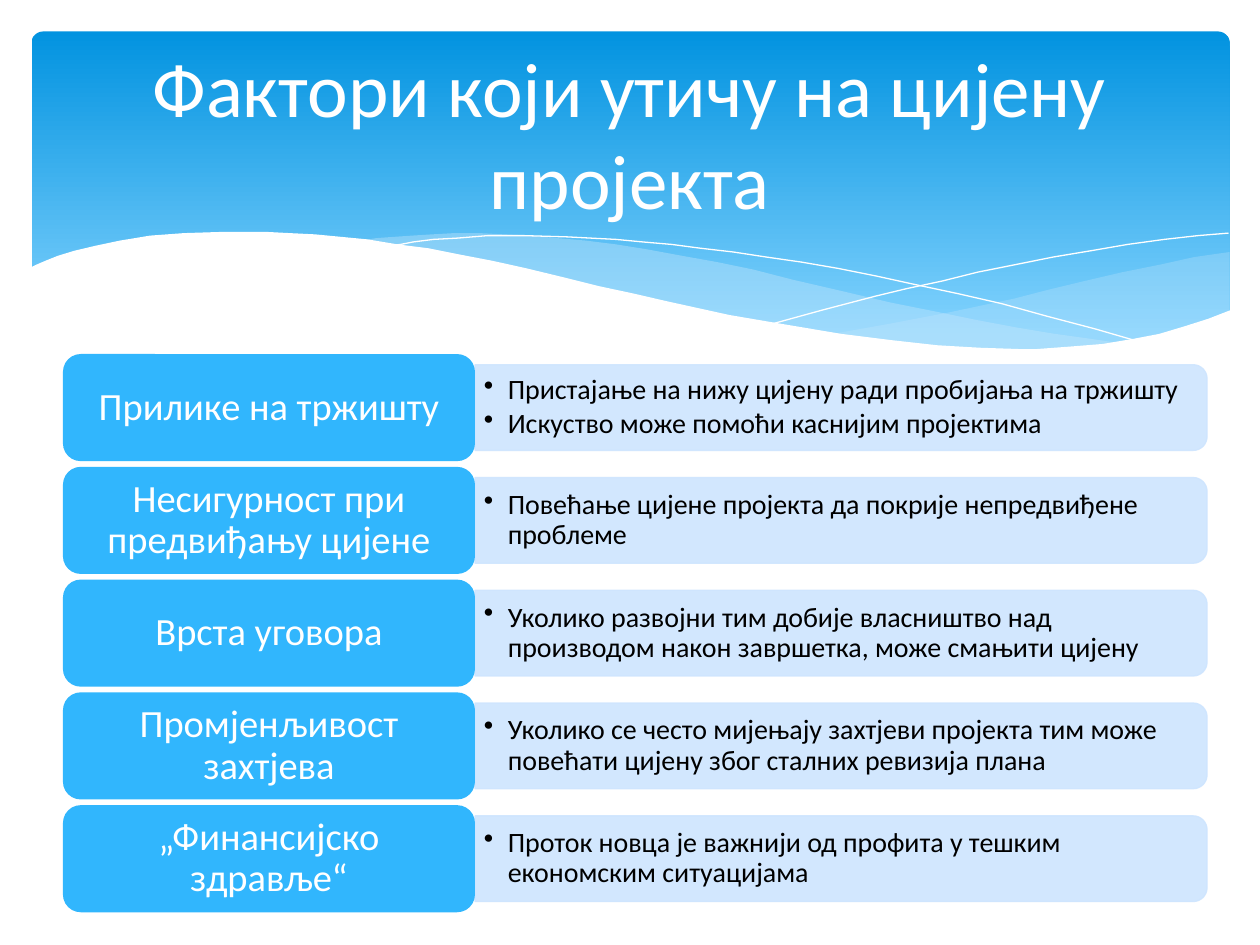
"""Build the slide on factors that influence the price of a project."""
from math import cos, pi, sin

from lxml.etree import SubElement
from pptx import Presentation
from pptx.dml.color import RGBColor
from pptx.enum.shapes import MSO_SHAPE as Shape
from pptx.enum.text import MSO_ANCHOR as Anchor, PP_ALIGN as Align
from pptx.oxml.ns import qn
from pptx.util import Inches, Pt

WHITE = RGBColor(0xFF, 0xFF, 0xFF)
BLACK = RGBColor(0, 0, 0)
BANNER_TOP = RGBColor(0x02, 0x93, 0xE0)
BANNER_BOTTOM = RGBColor(0x83, 0xD3, 0xFE)
WAVE = RGBColor(0xC6, 0xE7, 0xFC)
FACTOR_BLUE = RGBColor(0x31, 0xB6, 0xFD)
DETAIL_BLUE = RGBColor(0xCE, 0xE5, 0xFE)
FONT = "Calibri"

TITLE = "Фактори који утичу на цијену пројекта"
FACTORS = [
    ("Прилике на тржишту",
     ["Пристајање на нижу цијену ради пробијања на тржишту",
      "Искуство може помоћи каснијим пројектима"]),
    ("Несигурност при предвиђању цијене",
     ["Повећање цијене пројекта да покрије непредвиђене проблеме"]),
    ("Врста уговора",
     ["Уколико развојни тим добије власништво над производом након завршетка, "
      "може смањити цијену"]),
    ("Промјенљивост захтјева",
     ["Уколико се често мијењају захтјеви пројекта тим може повећати цијену "
      "због сталних ревизија плана"]),
    ("„Финансијско здравље“",
     ["Проток новца је важнији од профита у тешким економским ситуацијама"]),
]

RIGHT_WAVE = [
    (9.76, 2), (9.48, 2.04), (9.21, 2.1), (8.91, 2.16), (8.61, 2.23), (8.32, 2.3),
    (8.05, 2.37), (7.53, 2.48), (7.06, 2.57), (6.61, 2.65), (6.91, 2.69), (7.19, 2.72),
    (7.45, 2.75), (7.69, 2.77), (8.03, 2.78), (8.35, 2.77), (8.63, 2.75), (8.89, 2.72),
    (9.13, 2.67), (9.35, 2.62), (9.49, 2.57), (9.63, 2.52), (9.76, 2.47)]
MIDDLE_WAVE = [
    (8.93, 2.73), (8.66, 2.69), (8.37, 2.65), (8.07, 2.6), (7.75, 2.54), (7.41, 2.47),
    (7.06, 2.4), (6.68, 2.31), (6.29, 2.22), (5.98, 2.14), (5.69, 2.08), (5.41, 2.03),
    (5.14, 1.98), (4.89, 1.94), (4.65, 1.91), (4.42, 1.89), (4.2, 1.87), (3.99, 1.86),
    (3.8, 1.85), (3.61, 1.85), (3.44, 1.86), (3.28, 1.87), (3.13, 1.88), (2.99, 1.89),
    (2.86, 1.91), (3.23, 1.96), (3.62, 2.03), (4.04, 2.11), (4.49, 2.22), (4.91, 2.32),
    (5.3, 2.4), (5.66, 2.48), (6.01, 2.55), (6.34, 2.61), (6.65, 2.66), (6.95, 2.7),
    (7.22, 2.74), (7.48, 2.76), (7.73, 2.77), (7.96, 2.78), (8.28, 2.78), (8.57, 2.77),
    (8.76, 2.75)]
FALLING_LINE = [
    (3.09, 1.95), (3.18, 1.94), (3.28, 1.92), (3.44, 1.9), (3.63, 1.89), (3.87, 1.87),
    (4.16, 1.87), (4.5, 1.88), (4.69, 1.89), (4.89, 1.9), (5.1, 1.92), (5.33, 1.94),
    (5.56, 1.97), (5.82, 2), (6.08, 2.04), (6.36, 2.08), (6.65, 2.13), (6.95, 2.19),
    (7.27, 2.26), (7.6, 2.33), (7.95, 2.41), (8.31, 2.51), (8.69, 2.61), (9.07, 2.72)]
RISING_LINE = [
    (6.13, 2.57), (6.53, 2.46), (6.95, 2.35), (7.2, 2.29), (7.48, 2.23), (7.76, 2.16),
    (8.06, 2.1), (8.36, 2.04), (8.66, 1.99), (8.95, 1.94), (9.24, 1.9), (9.51, 1.87),
    (9.75, 1.85)]
WHITE_WAVE = [
    (9.77, 2.46), (9.59, 2.53), (9.4, 2.59), (9.2, 2.65), (8.99, 2.69), (8.75, 2.73),
    (8.5, 2.75), (8.23, 2.77), (8.09, 2.77), (7.78, 2.76), (7.44, 2.74), (7.08, 2.7),
    (6.68, 2.65), (6.26, 2.58), (5.79, 2.5), (5.29, 2.39), (5.03, 2.33), (4.75, 2.27),
    (4.47, 2.2), (4.18, 2.13), (3.91, 2.07), (3.65, 2.02), (3.4, 1.97), (3.16, 1.94),
    (2.92, 1.9), (2.71, 1.88), (2.5, 1.86), (2.3, 1.85), (2.11, 1.84), (1.77, 1.84),
    (1.46, 1.85), (1.19, 1.87), (0.95, 1.91), (0.76, 1.95), (0.59, 1.99), (0.46, 2.03),
    (0.36, 2.07), (0.29, 2.1), (0.23, 2.13), (0.23, 3.29), (9.77, 3.29)]

FACTOR_LEFT, FACTOR_WIDTH, FACTOR_HEIGHT = 0.5, 3.27, 0.85
DETAIL_LEFT, DETAIL_RIGHT, DETAIL_HEIGHT, DETAIL_RADIUS = 3.77, 9.58, 0.68, 0.11
FIRST_TOP, LAST_TOP = 2.81, 6.39


def set_alpha(fill, percent):
    for color in fill._xPr.iter(qn("a:srgbClr")):
        SubElement(color, qn("a:alpha"), val=str(percent * 1000))


def paint(shape, color, alpha=None):
    shape.shadow.inherit = False
    shape.fill.solid()
    shape.fill.fore_color.rgb = color
    if alpha:
        set_alpha(shape.fill, alpha)
    shape.line.fill.background()


def draw_outline(shapes, points, close=True):
    (start_x, start_y), *rest = [(Inches(x), Inches(y)) for x, y in points]
    builder = shapes.build_freeform(start_x, start_y)
    builder.add_line_segments(rest, close=close)
    return builder.convert_to_shape()


def write(shape, lines, size, color, margins, align, spacing=None, after=None):
    frame = shape.text_frame
    frame.word_wrap = True
    frame.vertical_anchor = Anchor.MIDDLE
    (frame.margin_left, frame.margin_top,
     frame.margin_right, frame.margin_bottom) = [Inches(m) for m in margins]
    frame.text = "\n".join(lines)
    for paragraph in frame.paragraphs:
        paragraph.alignment = align
        paragraph.line_spacing = spacing
        paragraph.space_after = after
        for run in paragraph.runs:
            run.font.name = FONT
            run.font.size = Pt(size)
            run.font.color.rgb = color
    return frame.paragraphs


def add_bullet(paragraph):
    paragraph.level = 1
    properties = paragraph._p.get_or_add_pPr()
    properties.set("marL", str(Inches(0.19)))
    properties.set("indent", str(-Inches(0.19)))
    SubElement(properties, qn("a:buChar"), char="•")


def add_banner(shapes):
    banner = shapes.add_shape(Shape.ROUNDED_RECTANGLE, Inches(0.25), Inches(0.25),
                              Inches(9.51), Inches(2.7))
    banner.adjustments[0] = 0.034
    paint(banner, BANNER_TOP)
    banner.fill.gradient()
    banner.fill.gradient_angle = 270
    stops = zip(banner.fill.gradient_stops, [(0, BANNER_TOP), (0.9, BANNER_BOTTOM)])
    for stop, (position, color) in stops:
        stop.position = position
        stop.color.rgb = color
    paint(draw_outline(shapes, RIGHT_WAVE), WAVE, 29)
    paint(draw_outline(shapes, MIDDLE_WAVE), WAVE, 40)
    for points in (FALLING_LINE, RISING_LINE):
        hairline = draw_outline(shapes, points, close=False)
        hairline.shadow.inherit = False
        hairline.fill.background()
        hairline.line.color.rgb = WHITE
        hairline.line.width = Pt(0)
    paint(draw_outline(shapes, WHITE_WAVE), WHITE)
    title = shapes.add_textbox(Inches(0.5), Inches(0.37), Inches(9), Inches(1.37))
    write(title, [TITLE], 44, WHITE, (0.1, 0.05, 0.1, 0.05), Align.CENTER)


def detail_outline(top):
    bottom, radius = top + DETAIL_HEIGHT, DETAIL_RADIUS
    angles = [step * pi / 16 for step in range(9)]
    corner = [(DETAIL_RIGHT - radius * (1 - sin(a)), radius * (1 - cos(a))) for a in angles]
    upper = [(x, top + inset) for x, inset in corner]
    lower = [(x, bottom - inset) for x, inset in reversed(corner)]
    return [(DETAIL_LEFT, top), *upper, *lower, (DETAIL_LEFT, bottom)]


def add_factor(shapes, top, factor, details):
    detail_top = top + (FACTOR_HEIGHT - DETAIL_HEIGHT) / 2
    detail = draw_outline(shapes, detail_outline(detail_top))
    paint(detail, DETAIL_BLUE, 90)
    detail.line.color.rgb = DETAIL_BLUE
    detail.line.width = Pt(0.75)
    set_alpha(detail.line.fill, 90)
    for paragraph in write(detail, details, 16, BLACK, (0.07, 0.07, 0.1, 0.07),
                           Align.LEFT, 0.9, Pt(2.4)):
        add_bullet(paragraph)
    heading = shapes.add_shape(Shape.ROUNDED_RECTANGLE, Inches(FACTOR_LEFT), Inches(top),
                               Inches(FACTOR_WIDTH), Inches(FACTOR_HEIGHT))
    paint(heading, FACTOR_BLUE)
    write(heading, [factor], 22, WHITE, (0.13, 0.09, 0.13, 0.09), Align.CENTER, 0.9, Pt(7.7))


def main():
    deck = Presentation()
    deck.slide_width, deck.slide_height = Inches(10), Inches(7.5)
    shapes = deck.slides.add_slide(deck.slide_layouts[6]).shapes
    add_banner(shapes)
    pitch = (LAST_TOP - FIRST_TOP) / (len(FACTORS) - 1)
    for row, (factor, details) in enumerate(FACTORS):
        add_factor(shapes, FIRST_TOP + row * pitch, factor, details)
    deck.save("out.pptx")


if __name__ == "__main__":
    main()
